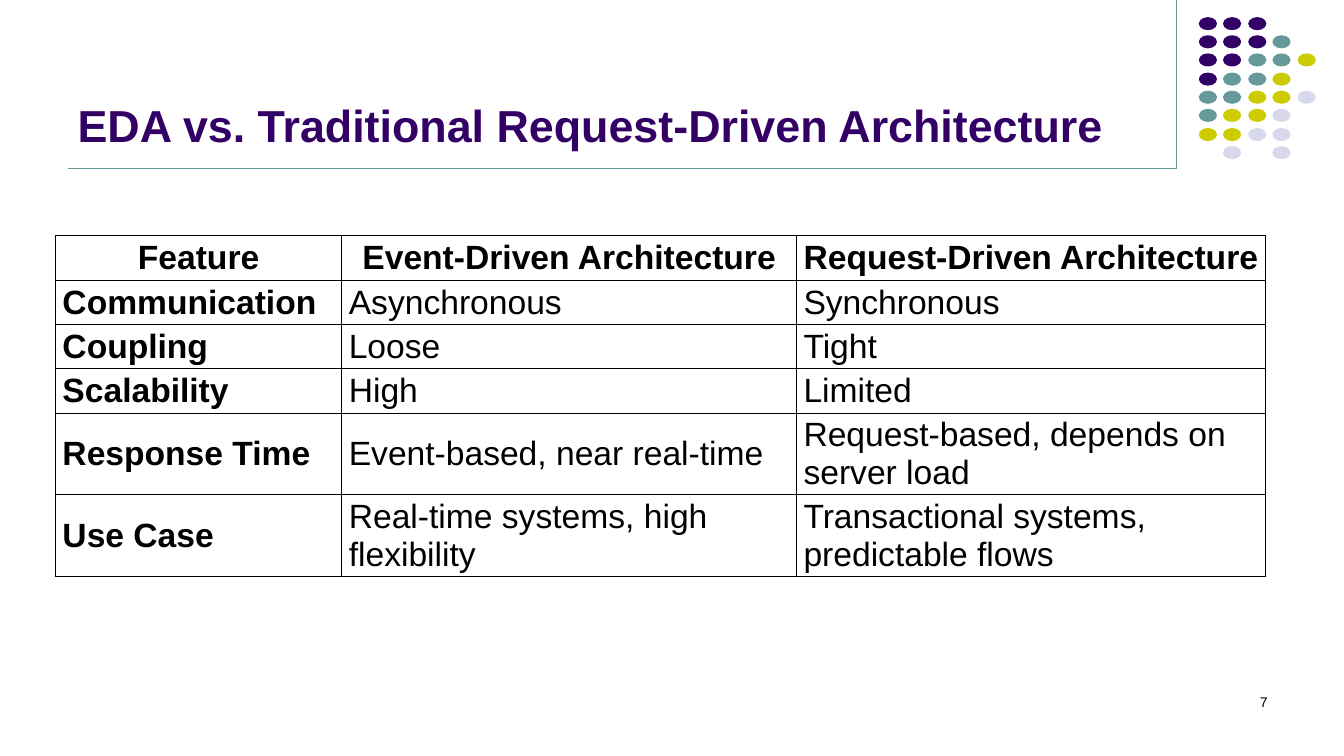
import dataclasses

import pptx
import pptx.dml.color
import pptx.enum.shapes
import pptx.enum.text
import pptx.oxml
import pptx.oxml.ns
import pptx.util

ALIGN = pptx.enum.text.PP_ALIGN
ANCHOR = pptx.enum.text.MSO_ANCHOR
EMU_PER_PX = 9144  # 100 px to the inch


@dataclasses.dataclass(frozen=True)
class Theme:
    font: str = "Arial"
    purple: str = "330066"
    teal: str = "669999"
    lime: str = "CCCC00"
    lilac: str = "D8D8EC"
    black: str = "000000"
    title_size: int = 32
    table_size: int = 24
    number_size: int = 10


def px(n):
    return pptx.util.Emu(n * EMU_PER_PX)


def rgb(value):
    return pptx.dml.color.RGBColor.from_string(value)


class Deck:
    def __init__(self, theme, width, height):
        self.theme = theme
        self.prs = pptx.Presentation()
        self.prs.slide_width, self.prs.slide_height = px(width), px(height)
        self.s = self.prs.slides.add_slide(self.prs.slide_layouts[5])

    def set_text(self, tf, text, size, color, bold=False, align=ALIGN.LEFT):
        tf.text = text
        p = tf.paragraphs[0]
        p.alignment = align
        for r in p.runs:
            r.font.name = self.theme.font
            r.font.size = pptx.util.Pt(size)
            r.font.bold = bold
            r.font.color.rgb = rgb(color)

    def title(self, text, x, y, w, h):
        sp = self.s.shapes.title
        sp.left, sp.top, sp.width, sp.height = map(px, (x, y, w, h))
        tf = sp.text_frame
        tf.auto_size = pptx.enum.text.MSO_AUTO_SIZE.NONE
        tf.vertical_anchor = ANCHOR.BOTTOM
        self.set_text(tf, text, self.theme.title_size, self.theme.purple, bold=True)

    def text(self, text, x, y, w, h, size, align):
        tf = self.s.shapes.add_textbox(*map(px, (x, y, w, h))).text_frame
        tf.word_wrap = True
        self.set_text(tf, text, size, self.theme.black, align=align)

    def line(self, x1, y1, x2, y2):
        kind = pptx.enum.shapes.MSO_CONNECTOR.STRAIGHT
        cn = self.s.shapes.add_connector(kind, *map(px, (x1, y1, x2, y2)))
        cn.line.color.rgb = rgb(self.theme.teal)
        cn.line.width = pptx.util.Pt(0.75)
        cn._element.spPr.append(pptx.oxml.parse_xml(
            f"<a:effectLst {pptx.oxml.ns.nsdecls('a')}/>"))

    def dot(self, x, y, w, h, color):
        kind = pptx.enum.shapes.MSO_SHAPE.OVAL
        sp = self.s.shapes.add_shape(kind, *map(px, (x, y, w, h)))
        sp.shadow.inherit = False
        sp.fill.solid()
        sp.fill.fore_color.rgb = rgb(color)
        sp.line.fill.background()

    def border(self, cell):
        tc_pr = cell._tc.get_or_add_tcPr()
        for side in ("lnL", "lnR", "lnT", "lnB"):
            tc_pr.append(pptx.oxml.parse_xml(
                f'<a:{side} {pptx.oxml.ns.nsdecls("a")} w="12700"><a:solidFill>'
                f'<a:srgbClr val="{self.theme.black}"/></a:solidFill></a:{side}>'))

    def table(self, data, x, y, widths, heights):
        shape = self.s.shapes.add_table(
            len(data), len(widths), px(x), px(y), px(sum(widths)), px(sum(heights)))
        table = shape.table
        table.first_row = table.horz_banding = False
        for column, width in zip(table.columns, widths):
            column.width = px(width)
        for i, (row, height) in enumerate(zip(data, heights)):
            table.rows[i].height = px(height)
            for j, text in enumerate(row):
                cell = table.cell(i, j)
                self.border(cell)
                cell.fill.background()
                cell.vertical_anchor = ANCHOR.MIDDLE
                cell.margin_left = cell.margin_right = px(7)
                cell.margin_top = cell.margin_bottom = px(3)
                self.set_text(cell.text_frame, text, self.theme.table_size,
                              self.theme.black, bold=i == 0 or j == 0,
                              align=ALIGN.CENTER if i == 0 else ALIGN.LEFT)


def main():
    theme = Theme()
    deck = Deck(theme, 1333, 750)

    # Corner rules and dot pattern
    deck.line(1167, 0, 1167, 167)
    deck.line(67, 167, 1167, 167)
    colors = {"P": theme.purple, "T": theme.teal, "L": theme.lime, "G": theme.lilac}
    pattern = ["PPP", "PPPT", "PPTTL", "PTTL", "TTLLG", "TLLG", "LLGG", " G G"]
    for row, marks in enumerate(pattern):
        for col, mark in enumerate(marks):
            if mark in colors:
                deck.dot(1189 + col * 49 // 2, 17 + row * 55 // 3, 18, 13, colors[mark])

    # Title
    deck.title("EDA vs. Traditional Request-Driven Architecture", 67, 13, 1100, 142)

    # Comparison table
    comparison = [
        ("Feature", "Event-Driven Architecture", "Request-Driven Architecture"),
        ("Communication", "Asynchronous", "Synchronous"),
        ("Coupling", "Loose", "Tight"),
        ("Scalability", "High", "Limited"),
        ("Response Time", "Event-based, near real-time",
         "Request-based, depends on server load"),
        ("Use Case", "Real-time systems, high flexibility",
         "Transactional systems, predictable flows"),
    ]
    deck.table(comparison, 55, 234, [284, 451, 465], [44] * 4 + [81] * 2)

    # Slide number
    deck.text("7", 956, 683, 311, 50, theme.number_size, ALIGN.RIGHT)

    deck.prs.save("out.pptx")


if __name__ == "__main__":
    main()
